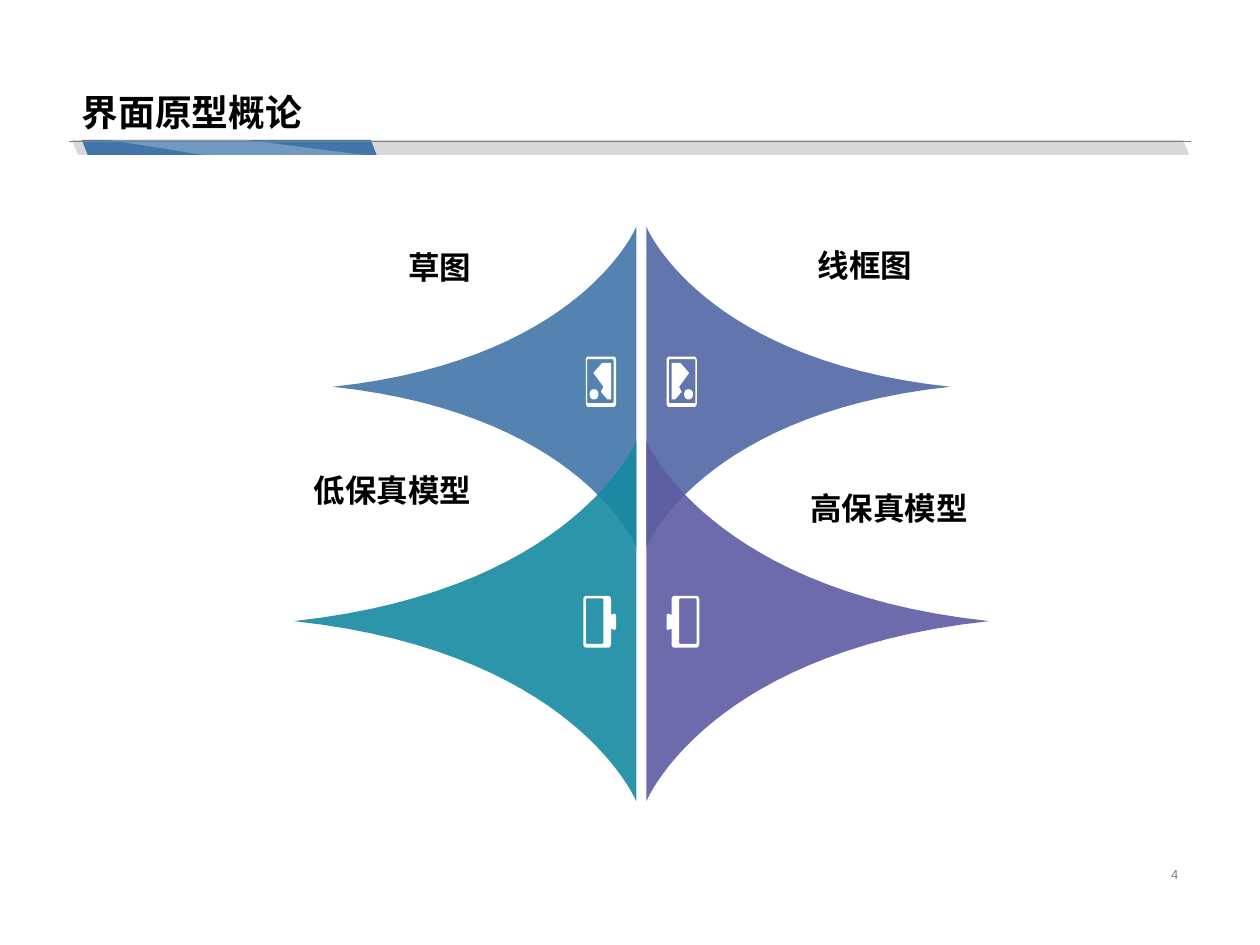
import math

import pptx
import pptx.dml.color
import pptx.enum.shapes
import pptx.enum.text
import pptx.oxml
import pptx.oxml.ns
import pptx.util

Inches = pptx.util.Inches
ALIGN = pptx.enum.text.PP_ALIGN
ANCHOR = pptx.enum.text.MSO_ANCHOR
AXIS = 5.09
HALF_GAP = 0.04
WHITE, BLACK, GRAY = "FFFFFF", "000000", "808080"

BARS = [
    (0.57, 1.11, 8.87, 0.12, 0.424, "D9D9D9"),
    (0.65, 1.11, 2.34, 0.12, 0.388, "4276AA"),
]
BAR_HIGHLIGHT = [(2.89, 1.23), (1.95, 1.11), (0.86, 1.11), (1.62, 1.23)]

HEADER_TEXTS = [
    ("界面原型概论", 0.55, 0, 8.9, 1.12, 21, True, BLACK, ALIGN.LEFT, ANCHOR.BOTTOM),
    ("4", 7.06, 6.82, 2.39, 0.23, 7.5, False, GRAY, ALIGN.RIGHT, ANCHOR.MIDDLE),
]
LABELS = [
    ("草图", -1.42, 1.77, 0.7),
    ("低保真模型", -1.42, 3.65, 0.48),
    ("线框图", 2.08, 1.75, 0.7),
    ("高保真模型", 2.52, 3.79, 0.48),
]


def rounded(left, top, right, bottom, radius_x, radius_y, steps=6):
    corners = [
        (right - radius_x, bottom - radius_y), (left + radius_x, bottom - radius_y),
        (left + radius_x, top + radius_y), (right - radius_x, top + radius_y),
    ]
    points = []
    for quarter, (x, y) in enumerate(corners):
        for step in range(steps + 1):
            angle = (quarter + step / steps) * math.pi / 2
            points.append((x + radius_x * math.cos(angle), y + radius_y * math.sin(angle)))
    return points


PICTURE_ICON = [
    rounded(4.65, 2.83, 4.89, 3.23, 0.02, 0.03),
    rounded(4.66, 2.85, 4.87, 3.2, 0.01, 0.01),
    rounded(4.68, 3.09, 4.75, 3.17, 0.03, 0.04),
    [(4.85, 2.88), (4.85, 3.17), (4.82, 3.17), (4.77, 3.11),
     (4.79, 3.07), (4.71, 2.96), (4.78, 2.88)],
]
BATTERY_ICON = [
    rounded(4.63, 4.73, 4.85, 5.14, 0.02, 0.03),
    rounded(4.65, 4.75, 4.79, 5.11, 0.01, 0.01),
    [(4.85, 4.88), (4.88, 4.87), (4.89, 4.88), (4.89, 4.99), (4.88, 5), (4.85, 4.99)],
]
ROWS = [
    (1.8, 2.54, 2.41, ("4276AA", "5268A5"), PICTURE_ICON),
    (3.5, 2.86, 2.72, ("178AA1", "5E5CA2"), BATTERY_ICON),
]


def color(value):
    return pptx.dml.color.RGBColor.from_string(value)


def paint(shape, fill, opacity=100):
    shape.shadow.inherit = False
    shape.fill.solid()
    shape.fill.fore_color.rgb = color(fill)
    shape.line.fill.background()
    if opacity < 100:
        solid = shape.element.spPr.find(pptx.oxml.ns.qn("a:solidFill"))
        alpha = pptx.oxml.parse_xml(
            f'<a:alpha {pptx.oxml.ns.nsdecls("a")} val="{opacity * 1000}"/>')
        solid[0].append(alpha)


def add_outline(slide, contours, fill, opacity=100):
    contours = [[(Inches(x), Inches(y)) for x, y in contour] for contour in contours]
    builder = slide.shapes.build_freeform(*contours[0][0])
    for index, contour in enumerate(contours):
        if index:
            builder.move_to(*contour[0])
        builder.add_line_segments(contour[1:], close=True)
    paint(builder.convert_to_shape(), fill, opacity)


def curve(start, control, end, steps=30):
    points = []
    for step in range(steps + 1):
        t = step / steps
        weights = ((1 - t) ** 3 + 3 * t * (1 - t) ** 2, 3 * t ** 2 * (1 - t), t ** 3)
        points.append(tuple(
            sum(weight * point[axis] for weight, point in zip(weights, (start, control, end)))
            for axis in (0, 1)))
    return points


def petal(top, height, width):
    edge = AXIS - HALF_GAP
    middle = top + height / 2
    tip = (edge - width, middle)
    bend = (edge - 0.18 * width, middle - 0.083 * height)
    upper = curve((edge, top), bend, tip)
    lower = [(x, 2 * middle - y) for x, y in reversed(upper[:-1])]
    return upper + lower


def mirrored(contours):
    return [[(2 * AXIS - x, y) for x, y in contour] for contour in contours]


def add_text(slide, text, left, top, width, height, size, bold, ink, align, anchor):
    box = slide.shapes.add_textbox(*map(Inches, (left, top, width, height)))
    frame = box.text_frame
    frame.text = text
    frame.word_wrap = True
    frame.vertical_anchor = anchor
    paragraph = frame.paragraphs[0]
    paragraph.alignment = align
    font = paragraph.runs[0].font
    font.name, font.size, font.bold = "Arial", pptx.util.Pt(size), bold
    font.color.rgb = color(ink)
    return frame


def add_header(slide):
    for left, top, width, height, slant, fill in BARS:
        bar = slide.shapes.add_shape(
            pptx.enum.shapes.MSO_SHAPE.PARALLELOGRAM,
            *map(Inches, (left, top, width, height)))
        bar.adjustments[0] = slant
        bar.element.spPr.find(pptx.oxml.ns.qn("a:xfrm")).set("flipH", "1")
        paint(bar, fill)
    add_outline(slide, [BAR_HIGHLIGHT], WHITE, 25)
    rule = slide.shapes.add_connector(
        pptx.enum.shapes.MSO_CONNECTOR.STRAIGHT,
        *map(Inches, (0.55, 1.12, 9.45, 1.12)))
    rule.line.color.rgb = color(GRAY)
    rule.line.width = pptx.util.Pt(0.25)
    rule.element.spPr.append(
        pptx.oxml.parse_xml(f'<a:effectLst {pptx.oxml.ns.nsdecls("a")}/>'))
    for header_text in HEADER_TEXTS:
        frame = add_text(slide, *header_text)
        frame.paragraphs[0].line_spacing = 0.9 if header_text[6] else 1


def add_petals(slide):
    for side in (0, 1):
        for top, height, width, fills, icon in ROWS:
            leaf = [petal(top, height, width)]
            add_outline(slide, mirrored(leaf) if side else leaf, fills[side], 90)
            add_outline(slide, mirrored(icon) if side else icon, WHITE)


def add_labels(slide):
    for text, left, top, height in LABELS:
        frame = add_text(slide, text, left, top, 5.23, height, 18, True, BLACK,
                         ALIGN.RIGHT, ANCHOR.MIDDLE)
        frame.word_wrap = False
        frame.margin_left = frame.margin_right = Inches(0.07)
        frame.margin_top = frame.margin_bottom = Inches(0.04)


def main():
    presentation = pptx.Presentation()
    presentation.slide_width, presentation.slide_height = Inches(10), Inches(7.5)
    slide = presentation.slides.add_slide(presentation.slide_layouts[6])
    add_header(slide)
    add_petals(slide)
    add_labels(slide)
    presentation.save("out.pptx")


if __name__ == "__main__":
    main()
